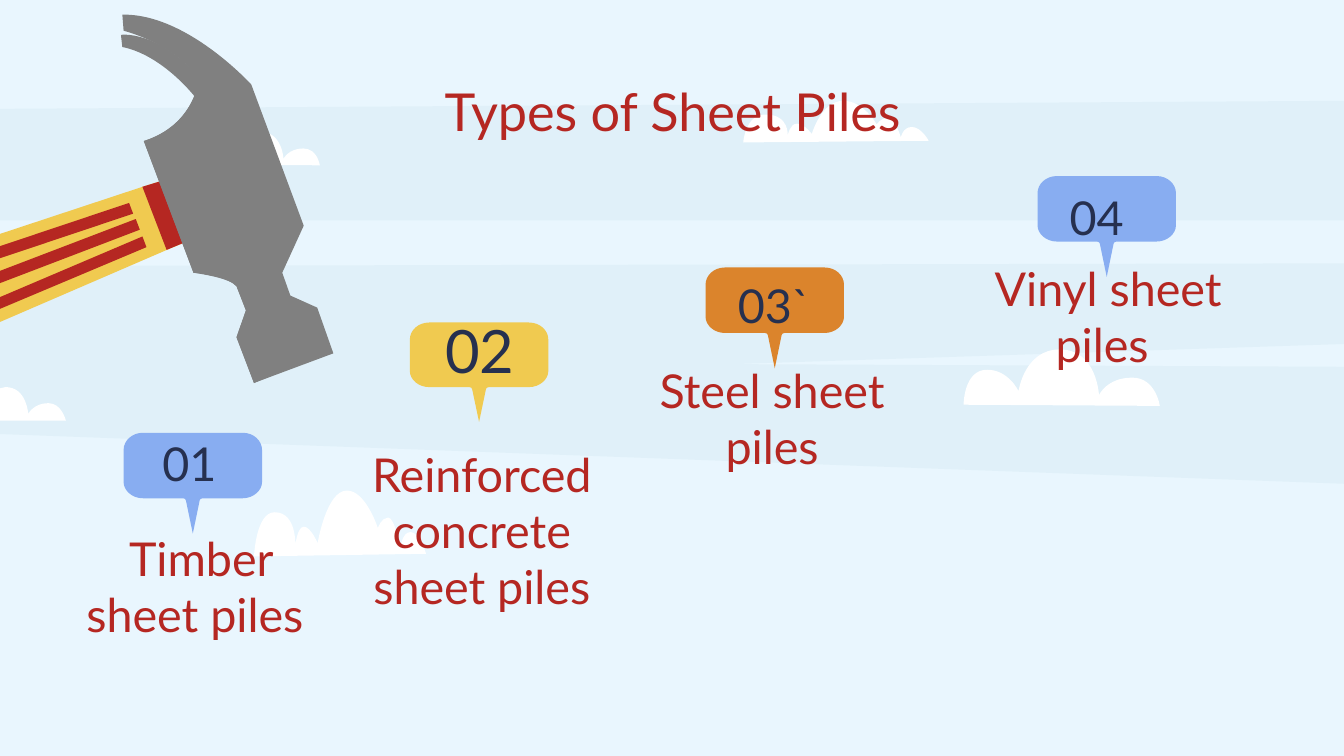
from math import cos, radians, sin

from lxml.etree import Element, SubElement
from pptx import Presentation
from pptx.dml.color import RGBColor
from pptx.enum.text import MSO_ANCHOR, PP_ALIGN
from pptx.oxml.ns import qn
from pptx.util import Inches, Pt

SKY = RGBColor(0xE9, 0xF6, 0xFE)
HAZE = RGBColor(0xB5, 0xD6, 0xE2)
WHITE = RGBColor(0xFF, 0xFF, 0xFF)
RED = RGBColor(0xB5, 0x27, 0x22)
YELLOW = RGBColor(0xF0, 0xCA, 0x50)
GRAY = RGBColor(0x80, 0x80, 0x80)
BLUE = RGBColor(0x88, 0xAD, 0xF1)
ORANGE = RGBColor(0xDB, 0x84, 0x2C)
NAVY = RGBColor(0x26, 0x30, 0x4F)

# The slide is a grid of square cells; outlines without a box use its units
COLS, ROWS, CELL = 100, 56.25, 0.1
GRID = (0, 0, 100, 100)
TILT = 69.2

# Outlines: a pair is a corner, six numbers are a curve.
# These four are in percent of the box they are drawn in.
WIDE = [(54, 0), (65, 0, 72, 57, 72, 57), (72, 57, 74, 41, 78, 41),
        (82, 41, 85, 88, 85, 88), (85, 88, 86, 63, 91, 63),
        (96, 63, 100, 96, 100, 96), (0, 100), (0, 100, 1, 33, 12, 33),
        (25, 33, 24, 84, 24, 84), (24, 84, 25, 55, 29, 55),
        (33, 55, 37, 80, 37, 80), (37, 80, 42, 0, 54, 0)]
SMALL = [(49, 0), (68, 0, 69, 81, 69, 81), (69, 81, 73, 50, 86, 50),
         (98, 50, 100, 100, 100, 100), (0, 98), (0, 98, 0, 36, 12, 36),
         (23, 36, 28, 74, 28, 74), (28, 74, 31, 0, 49, 0)]
BUBBLE = [(86, 0), (14, 0), (6, 0, 0, 8, 0, 17), (0, 49),
          (0, 57, 6, 65, 14, 65), (43, 65), (44, 65, 45, 66, 45, 67),
          (50, 100), (55, 67), (55, 66, 56, 65, 57, 65), (86, 65),
          (94, 65, 100, 57, 100, 49), (100, 17), (100, 8, 94, 0, 86, 0)]
INNER = [(9, 0), (91, 0), (96, 0, 100, 9, 100, 21), (100, 79),
         (100, 91, 96, 100, 91, 100), (9, 100), (4, 100, 0, 91, 0, 79),
         (0, 21), (0, 9, 4, 0, 9, 0)]

BANDS = [
    [(100, 7.5), (100, 16.4), (0, 16.4), (0, 8.1)],
    [(100, 19.6), (100, 25.6), (54.5, 27.1), (100, 27.3), (100, 36),
     (0, 32.3), (0, 19.8)],
]
CLOUDS = [(WIDE, (55.3, 7.5, 13.8, 3.1)), (WIDE, (18.9, 36.5, 12.8, 4.9)),
          (SMALL, (15.1, 9.8, 8.7, 2.5)), (SMALL, (71.7, 26, 14.6, 4.2))]
EDGE = [(0.4, 28.8), (2, 28.8, 2.1, 30.8, 2.1, 30.8),
        (2.1, 30.8, 2.5, 30, 3.6, 30), (4.6, 30, 4.9, 31.3, 4.9, 31.3),
        (0, 31.3), (0, 28.9), (0.1, 28.9, 0.3, 28.8, 0.4, 28.8)]

HAMMER = [
    # Handle, its three stripes and the collar
    (YELLOW, [(-11.9, 29.1), (-13.4, 27.1, -14.3, 24.7, -14.5, 22.2),
              (10.6, 13.9), (11.9, 13.5), (13.6, 18.1), (12.4, 18.6)]),
    (RED, [(9.6, 15.1), (-11.9, 22.3), (-11.6, 23.1), (9.9, 15.9)]),
    (RED, [(10.6, 17.6), (-10.3, 26.5), (-10, 27.2), (10.9, 18.4)]),
    (RED, [(10.1, 16.3), (10.4, 17.1), (-10.8, 25.2), (-11.1, 24.4)]),
    (RED, [(12.4, 18.6), (10.6, 13.9), (11.9, 13.5), (13.6, 18.1)]),
    # Rear claw, head and shaded side
    (GRAY, [(14.8, 5.7), (11.6, 2.2, 9, 2.6, 9, 2.6), (9.1, 3.5),
            (12.1, 4.1, 14.5, 7.2, 14.5, 7.2),
            (15.1, 6.6, 14.9, 6, 14.8, 5.7)]),
    (GRAY, [(18.7, 6.3), (18.7, 6.3, 13.9, 1, 9.1, 1.1), (9.2, 2.3),
            (9.2, 2.3, 12.9, 3.2, 14.8, 5.9),
            (14.8, 5.9, 14.5, 9.3, 10.7, 10.5), (14.4, 20.3),
            (15, 20.4, 17.1, 20.7, 17.6, 21.3), (18.3, 23.1),
            (17.6, 25.1), (18.9, 28.5), (24.8, 26.3), (23.6, 22.9),
            (21.6, 22), (21, 20.3), (22.6, 16.8)]),
    (GRAY, [(14.8, 5.9), (14.8, 5.9, 14.5, 9.3, 10.7, 10.5), (14.4, 20.3),
            (15, 20.3, 17.1, 20.7, 17.6, 21.3), (18.3, 23.1),
            (17.6, 25.1), (18.9, 28.5), (20.1, 28), (18.9, 24.9),
            (19.7, 22.6), (18.9, 20.5),
            (18.9, 20.5, 16.2, 19.6, 14.7, 18.5), (12.1, 11.5),
            (12.1, 11.5, 16, 9, 14.8, 5.9)]),
]

# Bubble place and height, colour, number, its place and size, label, its place
TYPES = [
    ((9.2, 32.2, 7.5), BLUE, "01", (9.2, 31.5), 25,
     "Timber sheet piles ", (4.1, 40.7)),
    ((30.5, 24, 7.4), YELLOW, "02", (30.8, 23.1), 32,
     "Reinforced concrete sheet piles", (25, 36.5)),
    ((52.5, 19.9, 7.5), ORANGE, "03`", (52.7, 19.8), 25,
     "Steel sheet piles", (46.6, 28.2)),
    ((77.2, 13.1, 7.5), BLUE, "04", (76.7, 13.2), 25,
     "Vinyl sheet piles ", (71.6, 20.6)),
]


def cells(count):
    return Inches(count * CELL)


def spin(dot, angle):
    c, s = cos(radians(angle)), sin(radians(angle))
    return dot[0] * c - dot[1] * s, dot[0] * s + dot[1] * c


def level(parts, angle):
    """Turn an outline back about its middle, so the shape can be rotated."""
    parts = [[spin(dot, -angle) for dot in part] for part in parts]
    mid = [(min(axis) + max(axis)) / 2
           for axis in zip(*(part[-1] for part in parts))]
    dx, dy = (a - b for a, b in zip(spin(mid, angle), mid))
    return [[(x + dx, y + dy) for x, y in part] for part in parts]


class Board:
    font = "Lato"

    def __init__(self, deck):
        self.slide = deck.slides.add_slide(deck.slide_layouts[6])
        fill = self.slide.background.fill
        fill.solid()
        fill.fore_color.rgb = SKY
        self.shapes = self.slide.shapes

    def group(self):
        return self.shapes.add_group_shape().shapes

    def bend(self, shape, parts):
        """Replace the straight segments that should be curves."""
        left, top = (min(axis) for axis in zip(*(p[-1] for p in parts)))
        track = shape._element.spPr.find(".//" + qn("a:path"))
        for line, part in zip(list(track), parts):
            if len(part) == 3:
                curve = Element(qn("a:cubicBezTo"))
                for x, y in part:
                    SubElement(curve, qn("a:pt"),
                               x=str(x - left), y=str(y - top))
                track.replace(line, curve)

    def outline(self, path, color, box=GRID, alpha=None, into=None, angle=0):
        left, top, width, height = box
        parts = [[(left + x * width / 100, top + y * height / 100)
                  for x, y in zip(part[::2], part[1::2])] for part in path]
        parts = [[(cells(x), cells(y)) for x, y in part]
                 for part in level(parts, angle)]
        ends = [part[-1] for part in parts]
        pen = (into or self.shapes).build_freeform(*ends[0])
        pen.add_line_segments(ends[1:], close=True)
        shape = pen.convert_to_shape()
        self.bend(shape, parts)
        shape.rotation = angle
        shape.shadow.inherit = False
        shape.fill.solid()
        shape.fill.fore_color.rgb = color
        shape.line.fill.background()
        if alpha:
            tone = shape._element.spPr.find(".//" + qn("a:srgbClr"))
            SubElement(tone, qn("a:alpha")).set("val", str(alpha * 1000))

    def bubble(self, left, top, height, color):
        into = self.group()
        self.outline(BUBBLE, color, (left, top, 10.3, height), into=into)
        self.outline(INNER, color, (left + 0.55, top + 0.5, 9.2, height * 0.52),
                     into=into)

    def text(self, words, box, size, color, anchor=MSO_ANCHOR.MIDDLE):
        frame = self.shapes.add_textbox(*map(cells, box)).text_frame
        frame.word_wrap = True
        frame.vertical_anchor = anchor
        frame.margin_left = frame.margin_right = cells(1)
        frame.margin_top = frame.margin_bottom = cells(1)
        para = frame.paragraphs[0]
        para.text = words
        para.alignment = PP_ALIGN.CENTER
        para.font.name = self.font
        para.font.size = Pt(size)
        para.font.color.rgb = color


def main():
    deck = Presentation()
    deck.slide_width, deck.slide_height = cells(COLS), cells(ROWS)
    board = Board(deck)
    # Sky
    for band in BANDS:
        board.outline(band, HAZE, alpha=17)
    for cloud, box in CLOUDS:
        board.outline(cloud, WHITE, box)
    board.outline(EDGE, WHITE)
    # Title
    board.text("Types of Sheet Piles", (7.9, 4.9, 84.3, 6.3), 28, RED,
               MSO_ANCHOR.TOP)
    # Hammer
    tool = board.group()
    for color, path in HAMMER:
        board.outline(path, color, into=tool, angle=TILT)
    # Numbered types
    for spot, color, number, place, size, label, below in TYPES:
        board.bubble(*spot, color)
        board.text(number, (*place, 9.8, 5.8), size, NAVY)
        board.text(label, (*below, 21.7, 5.8), 25, RED)
    deck.save("out.pptx")


if __name__ == "__main__":
    main()
